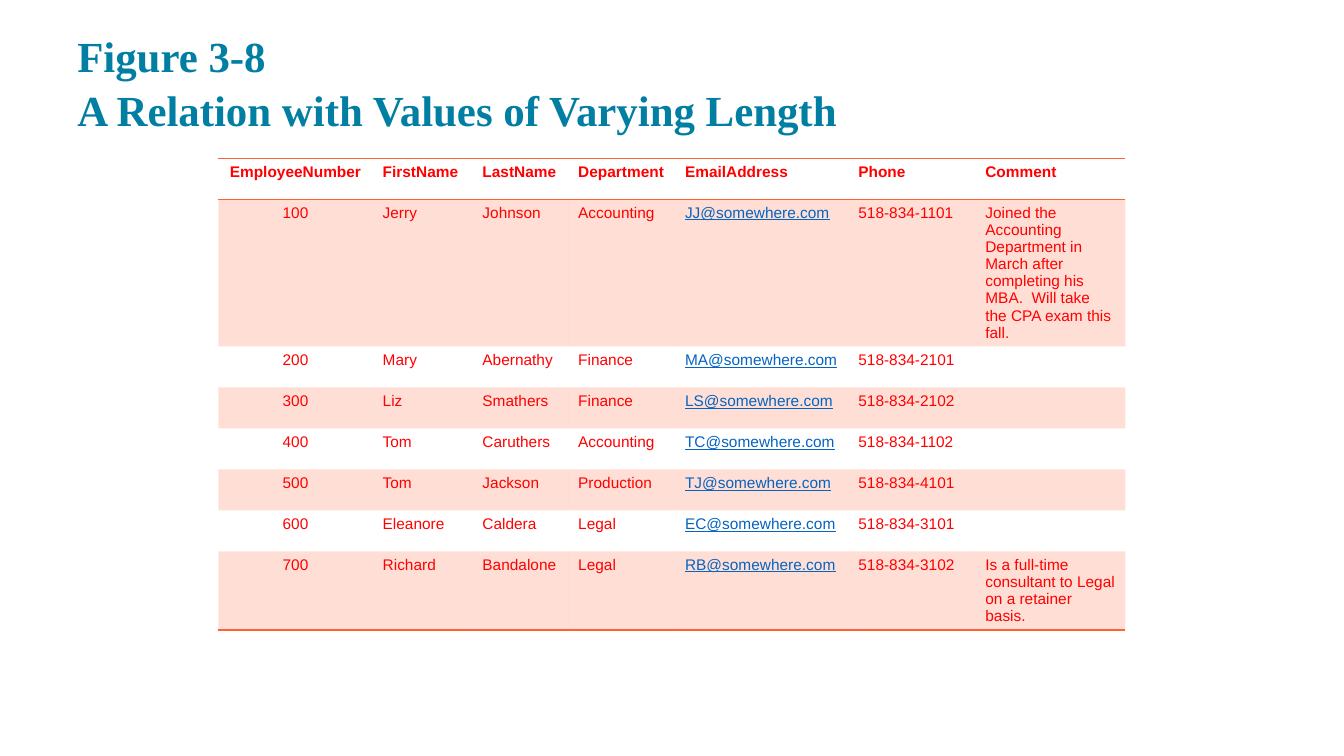
from lxml.etree import SubElement
from pptx import Presentation
from pptx.dml.color import RGBColor
from pptx.enum.text import MSO_ANCHOR as Anchor, MSO_AUTO_SIZE as AutoSize, PP_ALIGN as Align
from pptx.oxml.ns import qn
from pptx.util import Inches, Pt

TEAL = RGBColor(0x00, 0x7F, 0xA3)
ORANGE = RGBColor(0xFF, 0x61, 0x31)
RED = RGBColor(0xFF, 0x00, 0x00)
LINK_BLUE = RGBColor(0x05, 0x63, 0xC1)

GRID_COLUMNS, GRID_ROWS = 160, 90
PLAIN_TABLE_STYLE = "{2D5ABB26-0587-4C30-8999-92F81FD0307C}"

HEADINGS = ["EmployeeNumber", "FirstName", "LastName", "Department",
            "EmailAddress", "Phone", "Comment"]
COLUMN_SPANS = [18.36, 11.88, 11.4, 12.72, 20.64, 15.12, 17.88]
EMPLOYEES = [
    ["100", "Jerry", "Johnson", "Accounting", "JJ@somewhere.com", "518-834-1101",
     "Joined the Accounting Department in March after completing his MBA.  "
     "Will take the CPA exam this fall."],
    ["200", "Mary", "Abernathy", "Finance", "MA@somewhere.com", "518-834-2101", ""],
    ["300", "Liz", "Smathers", "Finance", "LS@somewhere.com", "518-834-2102", ""],
    ["400", "Tom", "Caruthers", "Accounting", "TC@somewhere.com", "518-834-1102", ""],
    ["500", "Tom", "Jackson", "Production", "TJ@somewhere.com", "518-834-4101", ""],
    ["600", "Eleanore", "Caldera", "Legal", "EC@somewhere.com", "518-834-3101", ""],
    ["700", "Richard", "Bandalone", "Legal", "RB@somewhere.com", "518-834-3102",
     "Is a full-time consultant to Legal on a retainer basis."],
]


class RelationSlide:
    """Holds the style and the slide; lengths are grid columns and rows."""

    title_font, title_size = "Times New Roman", Pt(30.6)
    table_font, table_size = "Arial", Pt(11)

    def __init__(self, presentation):
        self.column = presentation.slide_width / GRID_COLUMNS
        self.row = presentation.slide_height / GRID_ROWS
        self.slide = presentation.slides.add_slide(presentation.slide_layouts[5])

    def box(self, left, top, width, height):
        return (round(left * self.column), round(top * self.row),
                round(width * self.column), round(height * self.row))

    def title(self, text, *place):
        heading = self.slide.shapes.title
        heading.left, heading.top, heading.width, heading.height = self.box(*place)
        frame = heading.text_frame
        frame.text = text
        frame.auto_size = AutoSize.NONE
        frame.vertical_anchor = Anchor.BOTTOM
        frame.margin_left = frame.margin_right = Inches(0.1)
        frame.margin_top = frame.margin_bottom = Inches(0.1)
        paragraph = frame.paragraphs[0]
        paragraph.alignment = Align.LEFT
        paragraph.line_spacing = 1.05
        self.style(paragraph.font, self.title_font, self.title_size, TEAL, True)

    def table(self, records, spans, left, top, row_height):
        place = self.box(left, top, sum(spans), row_height * len(records))
        frame = self.slide.shapes.add_table(len(records), len(spans), *place)
        relation = frame.table
        relation._tbl.tblPr.find(qn("a:tableStyleId")).text = PLAIN_TABLE_STYLE
        for column, span in zip(relation.columns, spans):
            column.width = round(span * self.column)
        last = len(records) - 1
        for number, record in enumerate(records):
            relation.rows[number].height = round(row_height * self.row)
            sides = {0: ("lnT", "lnB"), last: ("lnB",)}.get(number, ())
            for position, value in enumerate(record):
                cell = relation.cell(number, position)
                self.cell_text(cell, value, number == 0, position == 0)
                self.borders(cell, sides)
                self.band(cell, number % 2 == 1)

    def cell_text(self, cell, value, is_heading, is_centred):
        cell.text = value
        paragraph = cell.text_frame.paragraphs[0]
        paragraph.alignment = Align.CENTER if is_centred else Align.LEFT
        is_email = "@" in value
        self.style(paragraph.font, self.table_font, self.table_size,
                   LINK_BLUE if is_email else RED, is_heading)
        paragraph.font.underline = is_email

    def borders(self, cell, sides):
        properties = cell._tc.get_or_add_tcPr()
        for side in sides:
            line = SubElement(properties, qn(f"a:{side}"), w=str(Pt(1)))
            paint = SubElement(line, qn("a:solidFill"))
            SubElement(paint, qn("a:srgbClr"), val=str(ORANGE))

    def band(self, cell, is_tinted):
        """Tint the cell with orange at 20 % opacity, or leave it clear."""
        if not is_tinted:
            cell.fill.background()
            return
        cell.fill.solid()
        cell.fill.fore_color.rgb = ORANGE
        colour = cell._tc.tcPr.find(qn("a:solidFill")).find(qn("a:srgbClr"))
        SubElement(colour, qn("a:alpha"), val="20000")

    @staticmethod
    def style(font, name, size, colour, bold):
        font.name, font.size, font.bold = name, size, bold
        font.color.rgb = colour


def main():
    presentation = Presentation()
    presentation.slide_width, presentation.slide_height = Inches(13.33), Inches(7.5)
    figure = RelationSlide(presentation)
    figure.title("Figure 3-8\vA Relation with Values of Varying Length", 8, 2.88, 144, 14.4)
    figure.table([HEADINGS] + EMPLOYEES, COLUMN_SPANS, left=26, top=18.84, row_height=4.88)
    presentation.save("out.pptx")


if __name__ == "__main__":
    main()
